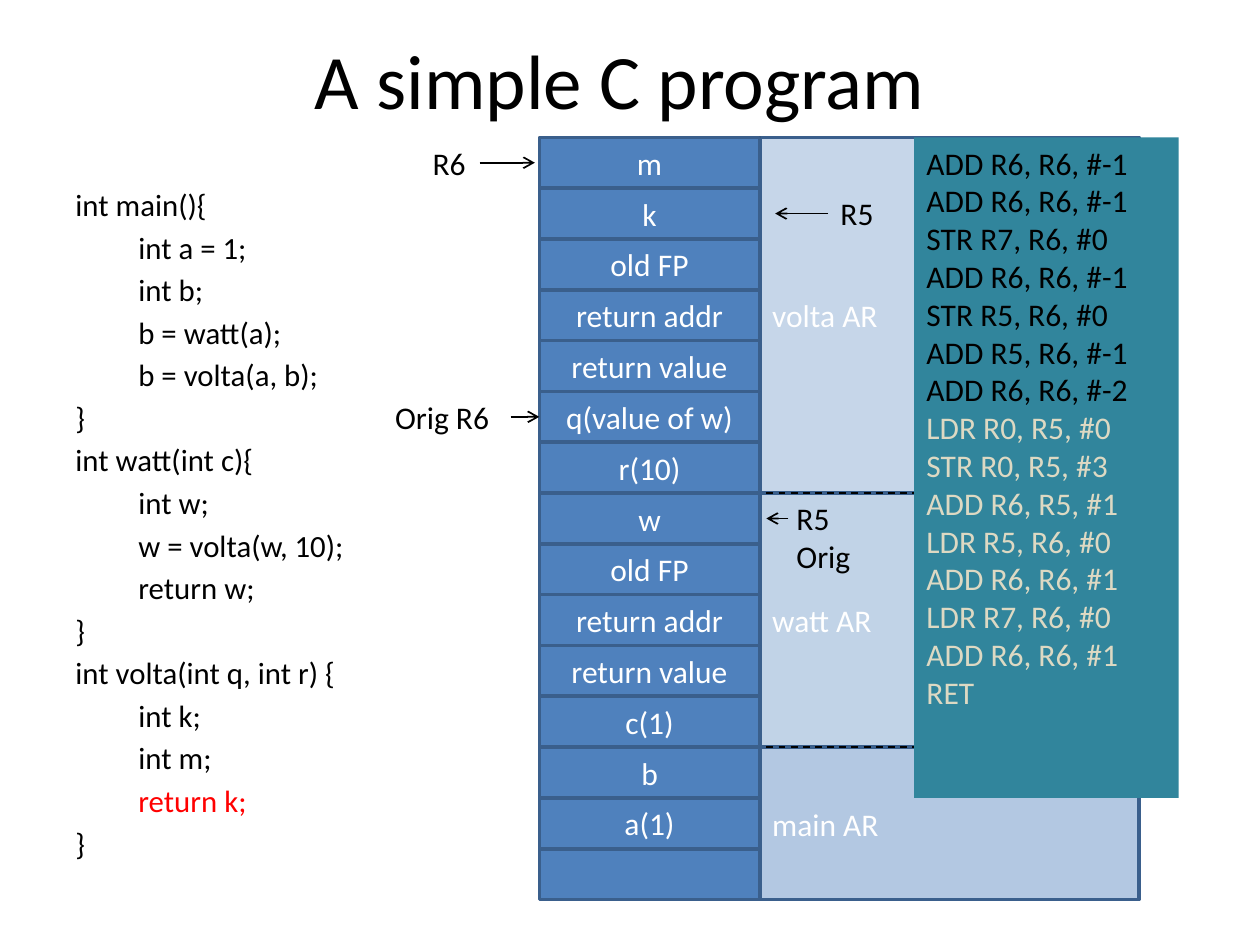
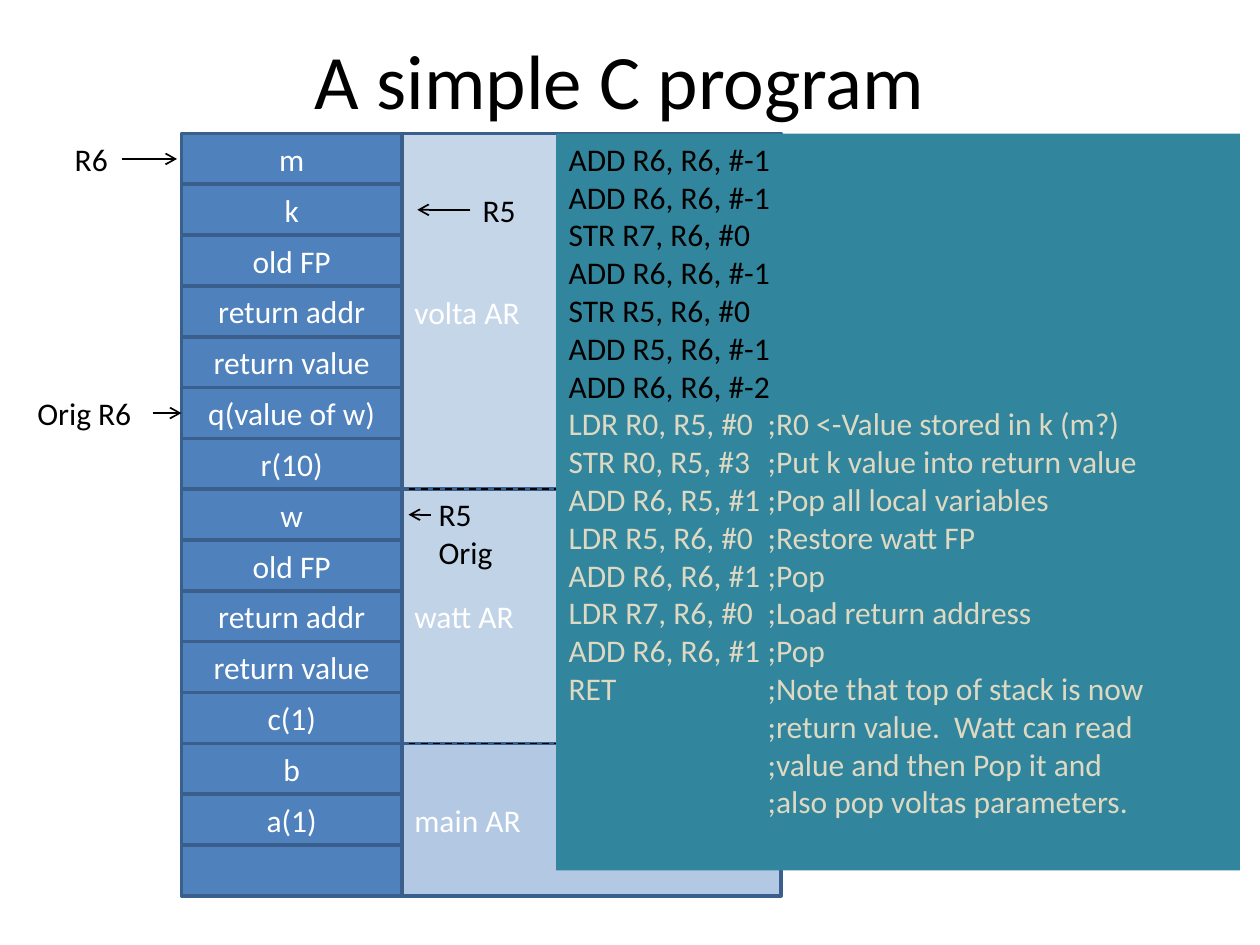
"""Build two slides on the call stack of a simple C program."""
from itertools import zip_longest
from lxml.etree import SubElement
from pptx import Presentation
from pptx.dml.color import RGBColor
from pptx.enum.dml import MSO_LINE
from pptx.enum.shapes import MSO_CONNECTOR, MSO_SHAPE
from pptx.enum.text import MSO_ANCHOR, PP_ALIGN
from pptx.oxml.ns import qn
from pptx.util import Inches, Pt

WIDE, HIGH = 10, 7.5
COL, ROW = 1.75, 6.05 / 15
INK = {"black": "000000", "white": "FFFFFF", "blue": "4F81BD", "edge": "3A5F8C",
       "teal": "31859C", "sand": "DDD9C3", "red": "FF0000"}
BASE = {"name": "Calibri", "size": Pt(18)}
TITLE = {"name": "Calibri", "size": Pt(44)}
BODY = {"name": "Calibri", "size": Pt(17.6)}
MID = {"vertical_anchor": MSO_ANCHOR.MIDDLE, "word_wrap": True}
TOP = {"vertical_anchor": MSO_ANCHOR.TOP, "word_wrap": True}
LEFT = {"alignment": PP_ALIGN.LEFT}
MIDST = {"alignment": PP_ALIGN.CENTER}
SPACED = {"alignment": PP_ALIGN.LEFT, "space_before": Pt(3.2)}

CELLS = ["m", "k", "old FP", "return addr", "return value", "q(value of w)", "r(10)",
         "w", "old FP", "return addr", "return value", "c(1)", "b", "a(1)", ""]
FRAMES = [("volta AR", 0, 7, 32), ("watt AR", 7, 12, 35), ("main AR", 12, 15, 43)]
SOURCE = ["int main(){", "\tint a = 1;", "\tint b;", "\tb = watt(a);", "\tb = volta(a, b);",
          "}", "int watt(int c){", "\tint w;", "\tw = volta(w, 10);", "\treturn w;", "}",
          "int volta(int q, int r) {", "\tint k;", "\tint m;", "\treturn k;", "}"]
SETUP = ["ADD R6, R6, #-1", "ADD R6, R6, #-1", "STR R7, R6, #0", "ADD R6, R6, #-1",
         "STR R5, R6, #0", "ADD R5, R6, #-1", "ADD R6, R6, #-2"]
FINISH = ["LDR R0, R5, #0", "STR R0, R5, #3", "ADD R6, R5, #1", "LDR R5, R6, #0",
          "ADD R6, R6, #1", "LDR R7, R6, #0", "ADD R6, R6, #1", "RET"]
NOTES = [";R0 <-Value stored in k (m?)", ";Put k value into return value",
         ";Pop all local variables", ";Restore watt FP", ";Pop", ";Load return address",
         ";Pop", ";Note that top of stack is now", ";return value.  Watt can read",
         ";value and then Pop it and", ";also pop voltas parameters."]


def tint(name):
    """Return a named colour."""
    return RGBColor.from_string(INK[name])


def apply(item, style):
    """Set each attribute of a style on an item."""
    for key, value in style.items():
        setattr(item, key, value)


def share(left, top, wide, high):
    """Turn shares of the slide into lengths."""
    return [Inches(part * full) for part, full in
            zip((left, top, wide, high), (WIDE, HIGH, WIDE, HIGH))]


def spot(home, col, row):
    """Turn a column and row of the stack grid into a point."""
    return Inches(home[0] + col * COL), Inches(home[1] + row * ROW)


def area(home, col, row, cols, rows):
    """Turn a block of the stack grid into a place and a size."""
    return *spot(home, col, row), Inches(cols * COL), Inches(rows * ROW)


def write(shape, lines, frame, para, font, stop=None):
    """Fill a shape with (text, colour) lines."""
    text = shape.text_frame
    apply(text, frame)
    for index, (words, ink) in enumerate(lines):
        line = text.paragraphs[0] if index == 0 else text.add_paragraph()
        apply(line, para)
        run = line.add_run()
        run.text = words
        apply(run.font, font)
        run.font.color.rgb = tint(ink)
        if stop:
            tabs = SubElement(line._p.get_or_add_pPr(), qn("a:tabLst"))
            SubElement(tabs, qn("a:tab"), pos=str(Inches(stop)), algn="l")


def block(slide, place, fill=None, edge=None, clear=None):
    """Add a rectangle with an optional fill, edge and opacity."""
    shape = slide.shapes.add_shape(MSO_SHAPE.RECTANGLE, *place)
    shape.shadow.inherit = False
    if fill:
        shape.fill.solid()
        shape.fill.fore_color.rgb = tint(fill)
    else:
        shape.fill.background()
    if edge:
        shape.line.color.rgb = tint(edge)
        shape.line.width = Pt(2)
    else:
        shape.line.fill.background()
    if clear:
        shade = shape._element.spPr.find(qn("a:solidFill"))[0]
        SubElement(shade, qn("a:alpha"), val=str(clear * 1000))
    return shape


def label(slide, place, lines, frame=TOP, para=LEFT, font=BASE):
    """Add a text box."""
    box = slide.shapes.add_textbox(*place)
    write(box, lines, frame, para, font)
    return box


def rule(slide, start, end, dash=False):
    """Add a dashed line or an arrow."""
    line = slide.shapes.add_connector(MSO_CONNECTOR.STRAIGHT, *start, *end)
    line.line.color.rgb = tint("black")
    line.line.width = Pt(1)
    shape = line._element.spPr
    if dash:
        line.line.dash_style = MSO_LINE.DASH
    else:
        SubElement(shape.find(qn("a:ln")), qn("a:tailEnd"), type="arrow")
    SubElement(shape, qn("a:effectLst"))
    return line


def mark(slide, home, words, row, col, cols, start, end, side=None):
    """Add a register label and its arrow."""
    frame = {**TOP, "word_wrap": " " in words}
    box = label(slide, area(home, col, row, cols, 1), [(words, "black")], frame)
    arrow = rule(slide, spot(home, start, row + 0.5), spot(home, end, row + 0.5))
    if side:
        arrow.begin_connect(box, side)
    return arrow


def stack(slide, home):
    """Draw the stack, its activation records and its registers."""
    for name, first, last, clear in FRAMES:
        shape = block(slide, area(home, 1, first, 1.72, last - first), "blue", "edge", clear)
        write(shape, [(name, "white")], MID, LEFT, BASE)
        if first:
            rule(slide, spot(home, 1.03, first), spot(home, 2.72, first), True)
    block(slide, area(home, 0, 0, 1, 14), edge="black")
    cells = []
    for row, name in enumerate(CELLS):
        cell = block(slide, area(home, 0, row, 1, 1), "blue", "edge")
        if name:
            write(cell, [(name, "white")], MID, MIDST, BASE)
        cells.append(cell)
    mark(slide, home, "R6", 0, -0.54, 0.27, -0.27, -0.02, 3)
    mark(slide, home, "R5", 1, 1.31, 0.27, 1.31, 1.07, 1)
    mark(slide, home, "R5 Orig", 7, 1.11, 0.47, 1.13, 1.03)
    old = mark(slide, home, "Orig R6", 5, -0.71, 0.58, -0.13, 0, 3)
    old.end_connect(cells[5], 1)


def code(slide, home, cols, rows, finish):
    """Draw the panel of assembly code."""
    panel = block(slide, area(home, 1.7, 0, cols, rows), "teal")
    lines = [(line, "black") for line in SETUP] + [(line, "sand") for line in finish]
    write(panel, lines, TOP, LEFT, BASE, 1.58)


def page(deck, home):
    """Add a slide with the title and the stack."""
    slide = deck.slides.add_slide(deck.slide_layouts[6])
    label(slide, share(0.042, 0, 0.9, 0.167), [("A simple C program", "black")],
          MID, MIDST, TITLE)
    stack(slide, home)
    return slide


def main():
    """Build and save the slides."""
    deck = Presentation()
    apply(deck, {"slide_width": Inches(WIDE), "slide_height": Inches(HIGH)})

    home = 4.28, 1.09
    slide = page(deck, home)
    lines = [(line, "red" if line == "\treturn k;" else "black") for line in SOURCE]
    label(slide, share(0.05, 0.19, 0.3, 0.66), lines, TOP, SPACED, BODY)
    code(slide, home, 1.2, 13, FINISH)

    home = 1.44, 1.06
    slide = page(deck, home)
    noted = [f"{step}\t{note}" for step, note in zip_longest(FINISH, NOTES, fillvalue="")]
    code(slide, home, 3.1, 14.5, noted)

    deck.save("out.pptx")


if __name__ == "__main__":
    main()
